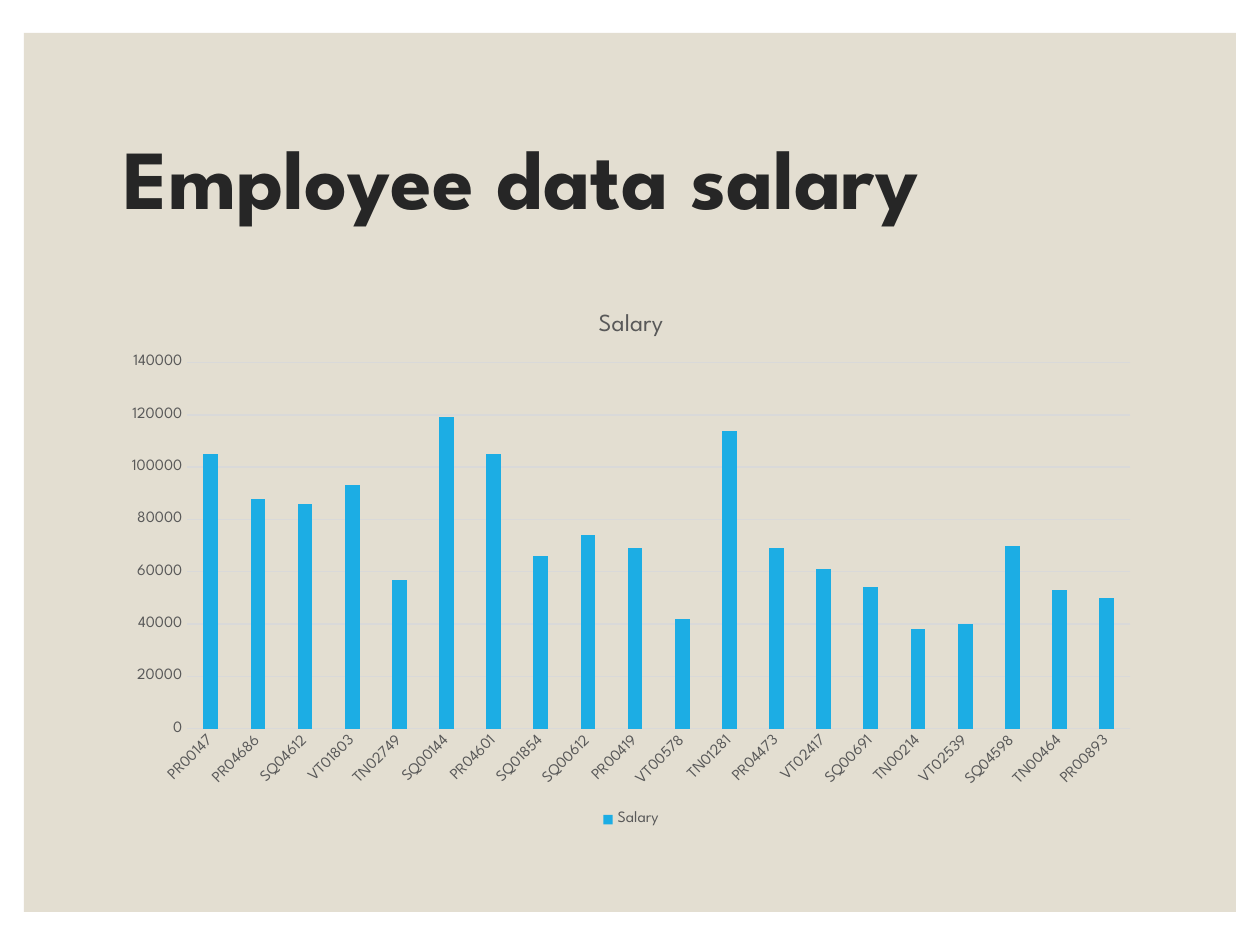
from dataclasses import dataclass

from pptx import Presentation
from pptx.chart.data import CategoryChartData
from pptx.dml.color import RGBColor
from pptx.enum.chart import XL_CHART_TYPE, XL_LEGEND_POSITION, XL_TICK_MARK
from pptx.enum.shapes import MSO_SHAPE
from pptx.enum.text import MSO_ANCHOR
from pptx.util import Emu, Pt

COLUMNS = XL_CHART_TYPE.COLUMN_CLUSTERED
BOTTOM = XL_LEGEND_POSITION.BOTTOM
NO_TICKS = XL_TICK_MARK.NONE
RECTANGLE = MSO_SHAPE.RECTANGLE
MIDDLE = MSO_ANCHOR.MIDDLE

EMU_PER_PX = 914400 // 126
SLIDE_SIZE = (1260, 945)

SALARIES = {
    "PR00147": 105000, "PR04686": 88000, "SQ04612": 86000, "VT01803": 93000,
    "TN02749": 57000, "SQ00144": 119000, "PR04601": 105000, "SQ01854": 66000,
    "SQ00612": 74000, "PR00419": 69000, "VT00578": 42000, "TN01281": 114000,
    "PR04473": 69000, "VT02417": 61000, "SQ00691": 54000, "TN00214": 38000,
    "VT02539": 40000, "SQ04598": 70000, "TN00464": 53000, "PR00893": 50000,
}


@dataclass(frozen=True)
class Theme:
    font: str = "League Spartan"
    panel: str = "E3DED1"
    heading: str = "262626"
    label: str = "595959"
    grid: str = "D9D9D9"
    column: str = "1CADE4"
    heading_size: int = 48
    chart_title_size: int = 14
    chart_size: int = 10
    label_size: int = 9


THEME = Theme()


def px(*lengths):
    return [Emu(length * EMU_PER_PX) for length in lengths]


def rgb(color):
    return RGBColor.from_string(color)


def style_font(font, size, color, bold=False):
    font.name = THEME.font
    font.size = Pt(size)
    font.bold = bold
    font.color.rgb = rgb(color)


def style_line(line):
    line.color.rgb = rgb(THEME.grid)
    line.width = Pt(0.75)


def add_panel(slide, *box):
    panel = slide.shapes.add_shape(RECTANGLE, *px(*box))
    panel.shadow.inherit = False
    panel.fill.solid()
    panel.fill.fore_color.rgb = rgb(THEME.panel)
    panel.line.fill.background()


def add_heading(slide, text, *box):
    frame = slide.shapes.add_textbox(*px(*box)).text_frame
    frame.word_wrap = True
    frame.vertical_anchor = MIDDLE
    heading = frame.paragraphs[0]
    heading.text = text
    heading.line_spacing = 0.9
    style_font(heading.font, THEME.heading_size, THEME.heading, bold=True)


def style_axis(axis):
    axis.major_tick_mark = NO_TICKS
    axis.minor_tick_mark = NO_TICKS
    style_font(axis.tick_labels.font, THEME.label_size, THEME.label)


def add_salary_chart(slide, name, salaries, *box):
    data = CategoryChartData()
    data.categories = list(salaries)
    data.add_series(name, list(salaries.values()))
    chart = slide.shapes.add_chart(COLUMNS, *px(*box), data).chart
    chart.font.name = THEME.font
    chart.font.size = Pt(THEME.chart_size)

    chart.has_title = True
    title = chart.chart_title.text_frame.paragraphs[0]
    title.text = name
    style_font(title.font, THEME.chart_title_size, THEME.label)

    chart.has_legend = True
    chart.legend.position = BOTTOM
    chart.legend.include_in_layout = False
    style_font(chart.legend.font, THEME.label_size, THEME.label)

    employees, amounts = chart.category_axis, chart.value_axis
    for axis in (employees, amounts):
        style_axis(axis)
    style_line(employees.format.line)
    employee_labels = employees._element.txPr.bodyPr
    employee_labels.set("rot", str(-45 * 60000))
    employee_labels.set("vert", "horz")
    amounts.format.line.fill.background()
    style_line(amounts.major_gridlines.format.line)

    plot = chart.plots[0]
    plot.vary_by_categories = False
    plot.gap_width = 219
    plot.overlap = -27
    columns = plot.series[0].format.fill
    columns.solid()
    columns.fore_color.rgb = rgb(THEME.column)


def main():
    presentation = Presentation()
    presentation.slide_width, presentation.slide_height = px(*SLIDE_SIZE)
    slide = presentation.slides.add_slide(presentation.slide_layouts[6])
    add_panel(slide, 24, 33, 1212, 879)
    add_heading(slide, "Employee data salary", 111, 88, 1040, 189)
    add_salary_chart(slide, "Salary", SALARIES, 111, 290, 1040, 542)
    presentation.save("out.pptx")


if __name__ == "__main__":
    main()
